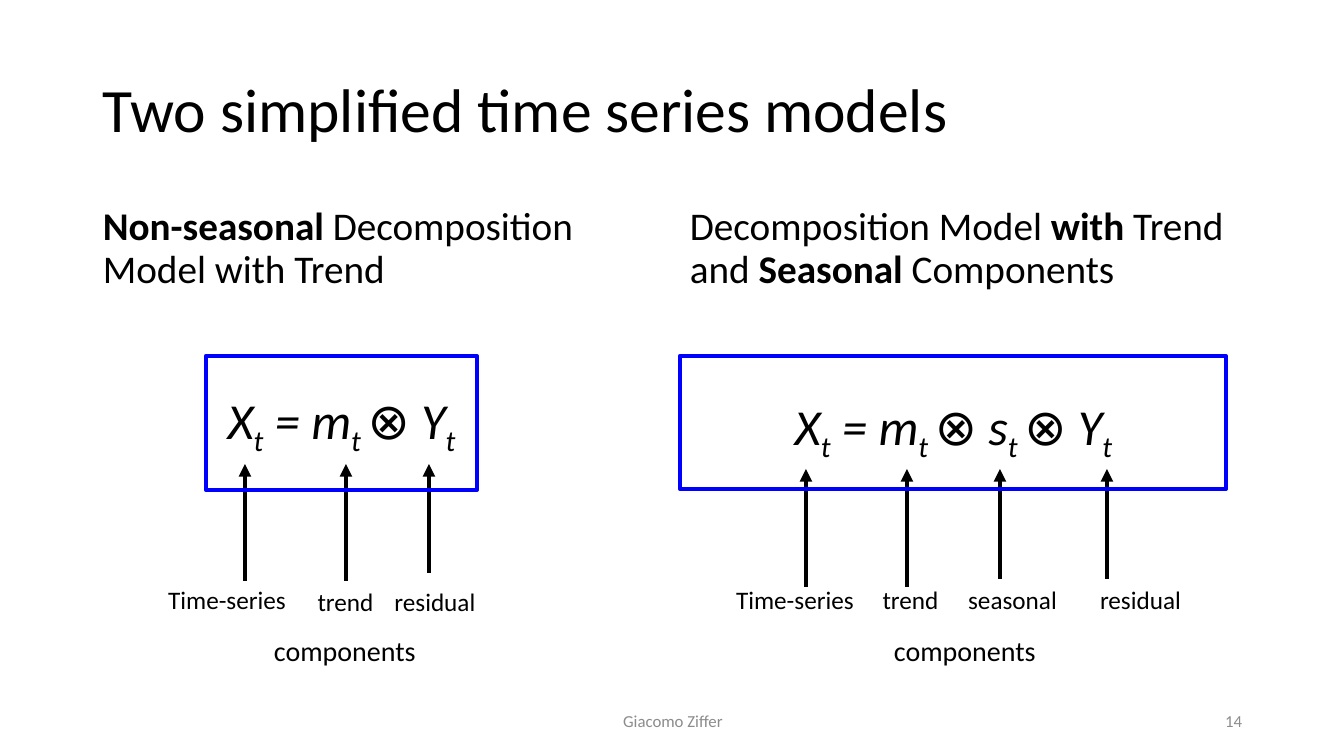
"""Build a slide comparing two simplified time series decomposition models."""
from lxml import etree
from pptx import Presentation
from pptx.dml.color import RGBColor
from pptx.enum.shapes import MSO_CONNECTOR, MSO_SHAPE
from pptx.enum.text import MSO_ANCHOR, PP_ALIGN
from pptx.oxml.ns import qn
from pptx.util import Emu, Pt

STRAIGHT = MSO_CONNECTOR.STRAIGHT
RECT = MSO_SHAPE.RECTANGLE
TOP, MIDDLE = MSO_ANCHOR.TOP, MSO_ANCHOR.MIDDLE
LEFT, CENTER, RIGHT = PP_ALIGN.LEFT, PP_ALIGN.CENTER, PP_ALIGN.RIGHT

EMU_PER_PX = 914400 / 100.8
COLORS = {"text": "000000", "muted": "8C8C8C", "box": "0000FF"}
FONT = "Calibri"
BOLD = {"bold": True}
ITALIC = {"italic": True}
SUB = {"italic": True, "baseline": -25000}

X_EQUALS_M = [("X", ITALIC), ("t", SUB), (" = m", ITALIC), ("t ", SUB)]
SEASONAL = [("⊗ ", {}), ("s", ITALIC), ("t ", SUB)]
RESIDUAL = [("⊗ ", {}), ("Y", ITALIC), ("t", SUB)]

HEADINGS = [
    (93, [("Non-seasonal ", BOLD), ("Decomposition Model with Trend", {})]),
    (680, [("Decomposition Model ", {}), ("with", BOLD), (" Trend and ", {}),
           ("Seasonal", BOLD), (" Components", {})]),
]
MODELS = [
    {
        "formula": (X_EQUALS_M + RESIDUAL, (43, 384, 597, 72)),
        "frame": (206, 356, 271, 134),
        "tip": 464,
        "arrows": [(245, 581), (346, 581), (429, 573)],
        "labels": [("Time-series", 144, 579, 166), ("trend", 275, 581, 141),
                   ("residual", 354, 581, 162)],
        "caption": 264,
    },
    {
        "formula": (X_EQUALS_M + SEASONAL + RESIDUAL, (655, 390, 597, 72)),
        "frame": (680, 356, 546, 133),
        "tip": 469,
        "arrows": [(806, 587), (907, 587), (1000, 579), (1107, 579)],
        "labels": [("Time-series", 711, 579, 168), ("trend", 864, 579, 93),
                   ("seasonal", 941, 579, 143), ("residual", 1064, 579, 153)],
        "caption": 884,
    },
]


def px(*values):
    """Turn pixel lengths into EMU."""
    return [Emu(round(v * EMU_PER_PX)) for v in values]


def rgb(name):
    """Look up a named colour."""
    return RGBColor.from_string(COLORS[name])


def add_text(s, runs, box, size, align=LEFT, anchor=TOP, color="text", **spacing):
    """Add a one-paragraph text box made of (text, format) runs."""
    tf = s.shapes.add_textbox(*px(*box)).text_frame
    tf.word_wrap = True
    tf.vertical_anchor = anchor
    p = tf.paragraphs[0]
    p.alignment = align
    for name, value in spacing.items():
        setattr(p, name, value)
    for text, style in runs:
        r = p.add_run()
        r.text = text
        r.font.color.rgb = rgb(color)
        values = {"name": FONT, "size": Pt(size), **style}
        baseline = values.pop("baseline", None)
        for name, value in values.items():
            setattr(r.font, name, value)
        if baseline:
            r._r.get_or_add_rPr().set("baseline", str(baseline))


def add_frame(s, box):
    """Add the outlined rectangle around a formula."""
    sp = s.shapes.add_shape(RECT, *px(*box))
    sp.shadow.inherit = False
    sp.fill.background()
    sp.line.color.rgb = rgb("box")
    sp.line.width = Pt(3)


def add_arrow(s, x, start, tip):
    """Add a vertical arrow pointing up to the tip."""
    cxn = s.shapes.add_connector(STRAIGHT, *px(x, start, x, tip))
    cxn.line.color.rgb = rgb("text")
    cxn.line.width = Pt(3)
    sp_pr = cxn._element.spPr
    etree.SubElement(sp_pr.find(qn("a:ln")), qn("a:tailEnd"), type="triangle")
    etree.SubElement(sp_pr, qn("a:effectLst"))


def add_model(s, model):
    """Add one formula with its frame, arrows and labels."""
    for text, x, y, w in model["labels"]:
        add_text(s, [(text, {})], (x, y, w, 40), 18, CENTER)
    for x, start in model["arrows"]:
        add_arrow(s, x, start, model["tip"])
    runs, box = model["formula"]
    add_text(s, runs, box, 36, CENTER)
    add_frame(s, model["frame"])
    add_text(s, [("components", {})], (model["caption"], 629, 163, 44), 20)


def main():
    """Build and save the slide."""
    prs = Presentation()
    prs.slide_width, prs.slide_height = px(1344, 756)
    s = prs.slides.add_slide(prs.slide_layouts[6])
    add_text(s, [("Two simplified time series models", {})],
             (93, 40, 1159, 146), 44, anchor=MIDDLE, line_spacing=0.9)
    for x, runs in HEADINGS:
        add_text(s, runs, (x, 202, 572, 100), 28,
                 line_spacing=0.9, space_before=Pt(10))
    for model in MODELS:
        add_model(s, model)
    add_text(s, [("Giacomo Ziffer", {})], (446, 701, 454, 40), 12,
             CENTER, MIDDLE, "muted")
    add_text(s, [("14", {})], (950, 701, 302, 40), 12, RIGHT, MIDDLE, "muted")
    prs.save("out.pptx")


if __name__ == "__main__":
    main()
